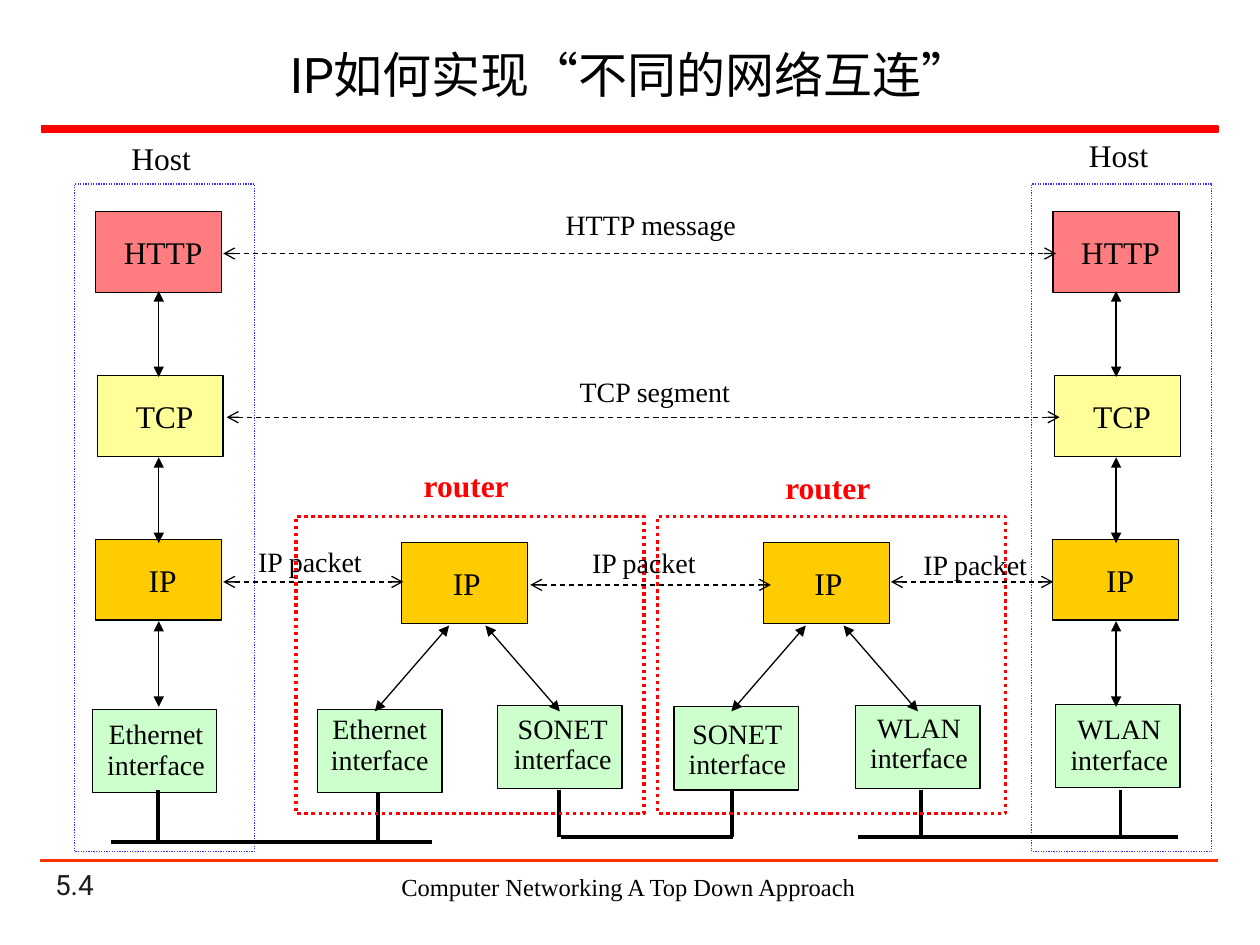
from pptx import Presentation
from pptx.dml.color import RGBColor
from pptx.enum.dml import MSO_LINE as DASH
from pptx.enum.shapes import MSO_CONNECTOR as CONN, MSO_SHAPE as SHAPE
from pptx.enum.text import MSO_ANCHOR as ANCHOR, PP_ALIGN as ALIGN
from pptx.oxml.ns import qn
from pptx.util import Cm, Pt
from lxml.etree import SubElement

SERIF, SANS = "Times New Roman", "Roboto"
BOX_W, BOX_H = 2.54, 1.63
PORT_W, PORT_H = 2.51, 1.68
ARROW_H = 1.73


def rgb(value):
    return RGBColor.from_string(value)


def write(tf, text, size, color="000000", font=SERIF, bold=False,
          align=ALIGN.CENTER, spacing=None):
    tf.word_wrap = True
    tf.text = text
    for p in tf.paragraphs:
        p.alignment = align
        if spacing:
            p.line_spacing = spacing
        for r in p.runs:
            r.font.size, r.font.name, r.font.bold = Pt(size), font, bold
            r.font.color.rgb = rgb(color)


def label(s, cx, y, text, size, color="000000", bold=False):
    """One line of text centred on cx."""
    w = 4
    sp = s.shapes.add_textbox(Cm(cx - w / 2), Cm(y), Cm(w), Cm(1))
    write(sp.text_frame, text, size, color, bold=bold)


def rect(s, x, y, w, h, fill=None, line="000000", width=0.75, dash=None):
    sp = s.shapes.add_shape(SHAPE.RECTANGLE, Cm(x), Cm(y), Cm(w), Cm(h))
    sp.shadow.inherit = False
    if fill:
        sp.fill.solid()
        sp.fill.fore_color.rgb = rgb(fill)
    else:
        sp.fill.background()
    sp.line.color.rgb = rgb(line)
    sp.line.width = Pt(width)
    if dash:
        sp.line.dash_style = dash
    return sp


def line(s, x1, y1, x2, y2, color="000000", width=0.75, dash=None, arrow=None):
    c = s.shapes.add_connector(CONN.STRAIGHT, Cm(x1), Cm(y1), Cm(x2), Cm(y2))
    c.line.color.rgb = rgb(color)
    c.line.width = Pt(width)
    if dash:
        c.line.dash_style = dash
    sp_pr = c.element.spPr
    if arrow:
        for end in ("a:headEnd", "a:tailEnd"):
            SubElement(sp_pr.find(qn("a:ln")), qn(end), type=arrow)
    SubElement(sp_pr, qn("a:effectLst"))


def node(s, x, y, w, h, text, size, fill, dx, dy=0, spacing=None):
    """Filled box whose text is moved by dx, dy from the centre."""
    sp = rect(s, x, y, w, h, fill)
    tf = sp.text_frame
    tf.margin_left, tf.margin_right = Cm(2 * dx), 0
    tf.margin_top, tf.margin_bottom = 0, Cm(-2 * dy)
    tf.vertical_anchor = ANCHOR.MIDDLE
    write(tf, text, size, spacing=spacing)


def layer(s, x, y, text, fill, dx=0.09):
    node(s, x, y, BOX_W, BOX_H, text, 18, fill, dx)


def port(s, x, y, kind, dx=0, dy=0):
    node(s, x, y, PORT_W, PORT_H, f"{kind}\ninterface", 16, "CCFFCC", dx, dy, 0.9)


def host(s, x, y, label_y, port_x, port_y, kind):
    # Protocol stack
    layer(s, x + 0.43, y + 0.56, "HTTP", "FF7C80")
    layer(s, x + 0.46, y + 3.86, "TCP", "FFFF99")
    layer(s, x + 0.42, y + 7.16, "IP", "FFCC00")
    port(s, x + port_x, y + port_y, kind, 0.03)
    # Links between layers
    for top in (2.16, 5.51, 8.81):
        line(s, x + 1.7, y + top, x + 1.7, y + top + ARROW_H, arrow="triangle")
    rect(s, x, y, 3.63, 13.46, line="3333FF", dash=DASH.ROUND_DOT)
    label(s, x + 1.75, y + label_y, "Host", 18)


def router(s, x, y, label_y, ports):
    layer(s, x + 2.13, y + 0.53, "IP", "FFCC00", 0.04)
    for side, (px, py, kind, dx, dy) in zip((-1, 1), ports):
        port(s, x + px, y + py, kind, dx, dy)
        # Link from IP down to the interface
        end = x + px + PORT_W / 2 + (-0.1 if side < 0 else 0)
        line(s, end - side * 1.5, y + 2.2, end, y + 2.2 + ARROW_H, arrow="triangle")
    rect(s, x, y, 7.01, 5.99, line="FF0000", width=2, dash=DASH.ROUND_DOT)
    label(s, x + 3.43, y + label_y, "router", 18, "FF0000", True)


def network(s, x1, x2, y, stubs):
    line(s, x1, y, x2, y, width=2)
    for x in stubs:
        line(s, x, 15.92, x, y, width=2)


def peer(s, x1, x2, y, text, cx, text_y):
    line(s, x1, y, x2, y, dash=DASH.DASH, arrow="arrow")
    label(s, cx, text_y, text, 16)


def header(s, x, y, w):
    sp = s.shapes.add_textbox(Cm(x), Cm(y), Cm(w), Cm(1.78))
    sp.text_frame.vertical_anchor = ANCHOR.MIDDLE
    write(sp.text_frame, "IP如何实现“不同的网络互连”", 28, font=SANS)
    rect(s, x, y + 1.93, w, 0.13, "FF0000", "FF0000", 1)


def footer(s, x, y, w):
    line(s, x, y, x + w, y, "FF3300", 1.5)
    number = s.shapes.add_textbox(Cm(x + 0.05), Cm(y + 0.38), Cm(5.28), Cm(0.56))
    number.text_frame.vertical_anchor = ANCHOR.BOTTOM
    write(number.text_frame, "5.4", 16, "1C1C1C", SANS, align=ALIGN.LEFT)
    sp = s.shapes.add_textbox(Cm(x + 6.68), Cm(y + 0.1), Cm(10.36), Cm(0.86))
    write(sp.text_frame, "Computer Networking A Top Down Approach", 14)


def main():
    prs = Presentation()
    prs.slide_width, prs.slide_height = Cm(25.4), Cm(19.05)
    s = prs.slides.add_slide(prs.slide_layouts[6])

    header(s, 0.84, 0.61, 23.72)
    footer(s, 0.81, 17.35, 23.75)

    # End systems
    host(s, 1.5, 3.71, -1.04, 0.36, 10.59, "Ethernet")
    host(s, 20.8, 3.71, -1.09, 0.48, 10.49, "WLAN")

    # Networks that join the interfaces
    network(s, 2.24, 8.71, 16.97, (3.18, 7.62))
    network(s, 11.3, 14.78, 16.87, (11.27, 14.76))
    network(s, 17.3, 23.75, 16.87, (18.57, 22.59))

    # Routers: x, y, text shift of each interface
    router(s, 5.97, 10.41, -1.14, [(0.43, 3.89, "Ethernet", 0, -0.1),
                                   (4.06, 3.81, "SONET", 0.06, -0.03)])
    router(s, 13.26, 10.41, -1.09, [(0.33, 3.84, "SONET", 0.02, 0.04),
                                    (3.99, 3.81, "WLAN", 0.02, -0.05)])

    # Peer-to-peer exchanges
    peer(s, 4.5, 21.29, 5.11, "HTTP message", 13.12, 4.06)
    peer(s, 4.57, 21.36, 8.41, "TCP segment", 13.2, 7.42)
    peer(s, 4.5, 8.13, 11.73, "IP packet", 6.25, 10.85)
    peer(s, 10.69, 15.54, 11.79, "IP packet", 12.98, 10.87)
    peer(s, 17.96, 21.23, 11.73, "IP packet", 19.66, 10.92)

    prs.save("out.pptx")


if __name__ == "__main__":
    main()
